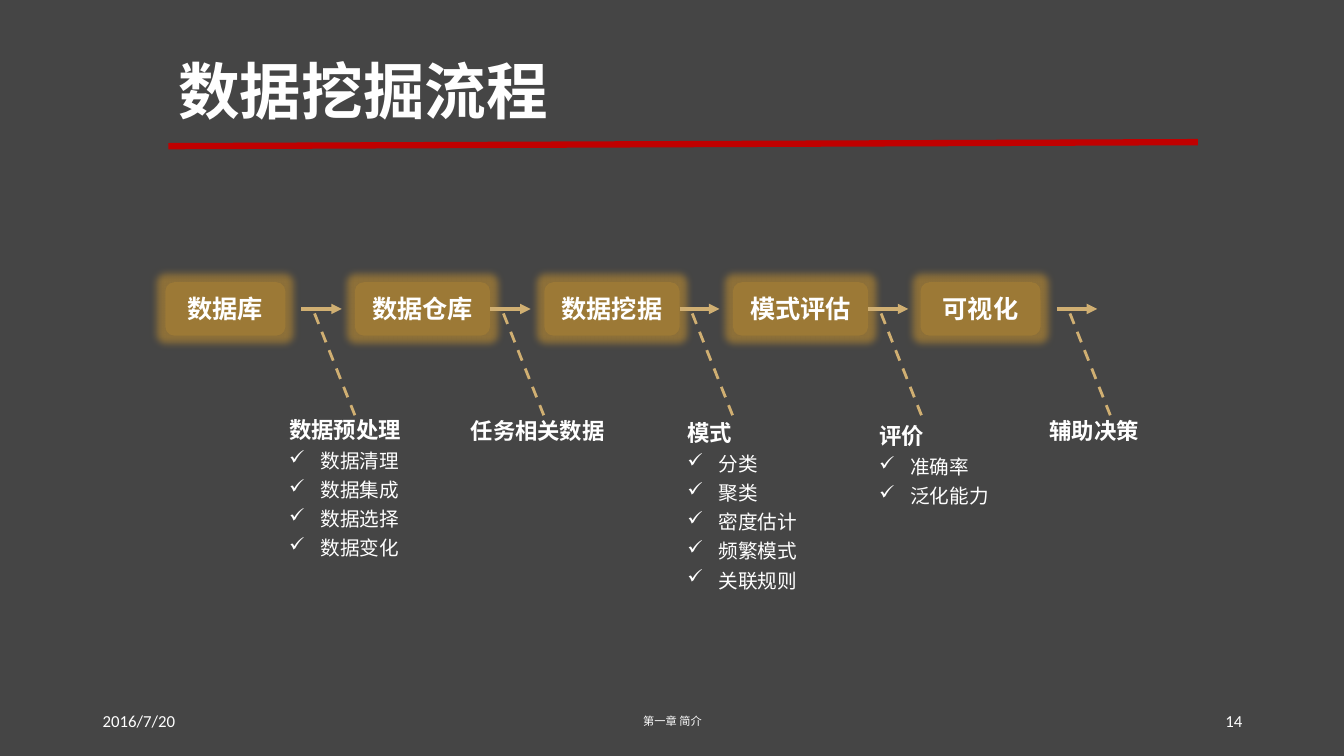
from pptx import Presentation
from pptx.dml.color import RGBColor
from pptx.enum.dml import MSO_LINE
from pptx.enum.shapes import MSO_CONNECTOR, MSO_SHAPE
from pptx.enum.text import MSO_ANCHOR, PP_ALIGN
from pptx.oxml import parse_xml
from pptx.oxml.ns import nsdecls, qn
from pptx.util import Inches, Pt
from lxml import etree

LEFT, CENTER, RIGHT = PP_ALIGN.LEFT, PP_ALIGN.CENTER, PP_ALIGN.RIGHT
TOP, MIDDLE = MSO_ANCHOR.TOP, MSO_ANCHOR.MIDDLE
STRAIGHT, DASH = MSO_CONNECTOR.STRAIGHT, MSO_LINE.DASH
ROUNDED = MSO_SHAPE.ROUNDED_RECTANGLE

# Content
TITLE = "数据挖掘流程"
# stage, its left and width; output heading, its left, top and width; output items
STAGES = [
    ("数据库", 1.64, 1.19, "数据预处理", 2.77, 4.08, 1.42,
     ["数据清理", "数据集成", "数据选择", "数据变化"]),
    ("数据仓库", 3.52, 1.34, "任务相关数据", 4.57, 4.09, 1.65, []),
    ("数据挖据", 5.4, 1.34, "模式", 6.72, 4.11, 1.56,
     ["分类", "聚类", "密度估计", "频繁模式", "关联规则"]),
    ("模式评估", 7.27, 1.34, "评价", 8.62, 4.14, 1.65, ["准确率", "泛化能力"]),
    ("可视化", 9.13, 1.19, "辅助决策", 10.31, 4.09, 1.24, []),
]
# text, left, width, alignment, size key, font key
FOOTERS = [
    ("2016/7/20", 0.92, 3, LEFT, "footer", "latin"),
    ("14", 9.42, 3, RIGHT, "footer", "latin"),
    ("第一章 简介", 4.42, 4.5, CENTER, "chapter", "cjk"),
]

THEME = {
    "back": "454545", "text": "FFFFFF", "rule": "C00000",
    "box": "A17C36", "arrow": "D0AF72",
    "cjk": "Noto Sans CJK SC", "latin": "Calibri",
    "title": 44, "stage": 18, "heading": 16, "item": 14, "footer": 12, "chapter": 8,
}

# Layout
BOX_TOP, BOX_H = 2.8, 0.53
ARROW_LEFT, ARROW_STEP, ARROW_LEN = 2.99, 1.873, 0.4
ARROW_Y = BOX_TOP + BOX_H / 2
BRANCH_SHIFT, BRANCH_TOP, BRANCH_BOTTOM = 0.13, 3.11, 4.12
INDENT, ITEM_SPACING = 0.31, 1.24

prs = Presentation()
prs.slide_width, prs.slide_height = Inches(13.33), Inches(7.5)
s = prs.slides.add_slide(prs.slide_layouts[6])


def color(key):
    return RGBColor.from_string(THEME[key])


s.background.fill.solid()
s.background.fill.fore_color.rgb = color("back")


def add_text(tf, text, size, font="cjk", bold=False, align=LEFT, anchor=TOP,
             spacing=None, bullet=None, first=True):
    tf.word_wrap = True
    tf.vertical_anchor = anchor
    p = tf.paragraphs[0] if first else tf.add_paragraph()
    p.alignment = align
    if spacing:
        p.line_spacing = spacing
    if bullet:
        pPr = p._p.get_or_add_pPr()
        pPr.set("marL", str(Inches(INDENT)))
        pPr.set("indent", str(-Inches(INDENT)))
        etree.SubElement(pPr, qn("a:buChar")).set("char", bullet)
    r = p.add_run()
    r.text = text
    r.font.size, r.font.bold = Pt(THEME[size]), bold
    r.font.name = THEME[font]
    r.font.color.rgb = color("text")
    etree.SubElement(r._r.get_or_add_rPr(), qn("a:ea")).set("typeface", THEME[font])


def add_box(left, top, width, height):
    return s.shapes.add_textbox(
        Inches(left), Inches(top), Inches(width), Inches(height)).text_frame


def add_line(start, end, key, width, dash=None, arrow=False):
    x1, y1, x2, y2 = (Inches(v) for v in (*start, *end))
    line = s.shapes.add_connector(STRAIGHT, x1, y1, x2, y2)
    line.line.color.rgb = color(key)
    line.line.width = Pt(width)
    if dash:
        line.line.dash_style = dash
    if arrow:
        etree.SubElement(line.line._get_or_add_ln(), qn("a:tailEnd")).set("type", "triangle")
    etree.SubElement(line._element.spPr, qn("a:effectLst"))
    return line


def add_stage(text, left, width):
    sp = s.shapes.add_shape(ROUNDED, Inches(left), Inches(BOX_TOP),
                            Inches(width), Inches(BOX_H))
    sp.fill.solid()
    sp.fill.fore_color.rgb = color("box")
    sp.line.fill.background()
    # Translucent fill and a soft glow
    fill = sp._element.spPr.find(qn("a:solidFill"))
    etree.SubElement(fill[0], qn("a:alpha")).set("val", "79000")
    sp._element.spPr.append(parse_xml(
        f'<a:effectLst {nsdecls("a")}><a:glow rad="{Pt(11)}"><a:srgbClr val="{THEME["box"]}">'
        '<a:alpha val="79000"/></a:srgbClr></a:glow></a:effectLst>'))
    add_text(sp.text_frame, text, "stage", bold=True, align=CENTER, anchor=MIDDLE)
    return sp


# Title and rule
add_line((1.67, 1.45), (11.88, 1.41), "rule", 4.5)
add_text(add_box(1.67, 0.21, 10.21, 1.45), TITLE, "title",
         bold=True, anchor=MIDDLE, spacing=0.9)

# Stages, arrows and outputs
for i, (stage, left, width, heading, out_left, out_top, out_w, items) in enumerate(STAGES):
    sp = add_stage(stage, left, width)
    x = ARROW_LEFT + i * ARROW_STEP
    arrow = add_line((x, ARROW_Y), (x + ARROW_LEN, ARROW_Y), "arrow", 2.5, arrow=True)
    if abs(x - left - width) < 0.05:
        arrow.begin_connect(sp, 3)
    branch_x = x + BRANCH_SHIFT
    add_line((branch_x, BRANCH_TOP), (branch_x + ARROW_LEN, BRANCH_BOTTOM),
             "arrow", 2, dash=DASH)
    tf = add_box(out_left, out_top, out_w, 0.37 + 0.35 * len(items))
    add_text(tf, heading, "heading", bold=True)
    for item in items:
        add_text(tf, item, "item", spacing=ITEM_SPACING, bullet="✓", first=False)

# Footer
for text, left, width, align, size, font in FOOTERS:
    add_text(add_box(left, 6.95, width, 0.4), text, size, font=font,
             align=align, anchor=MIDDLE)

prs.save("out.pptx")
